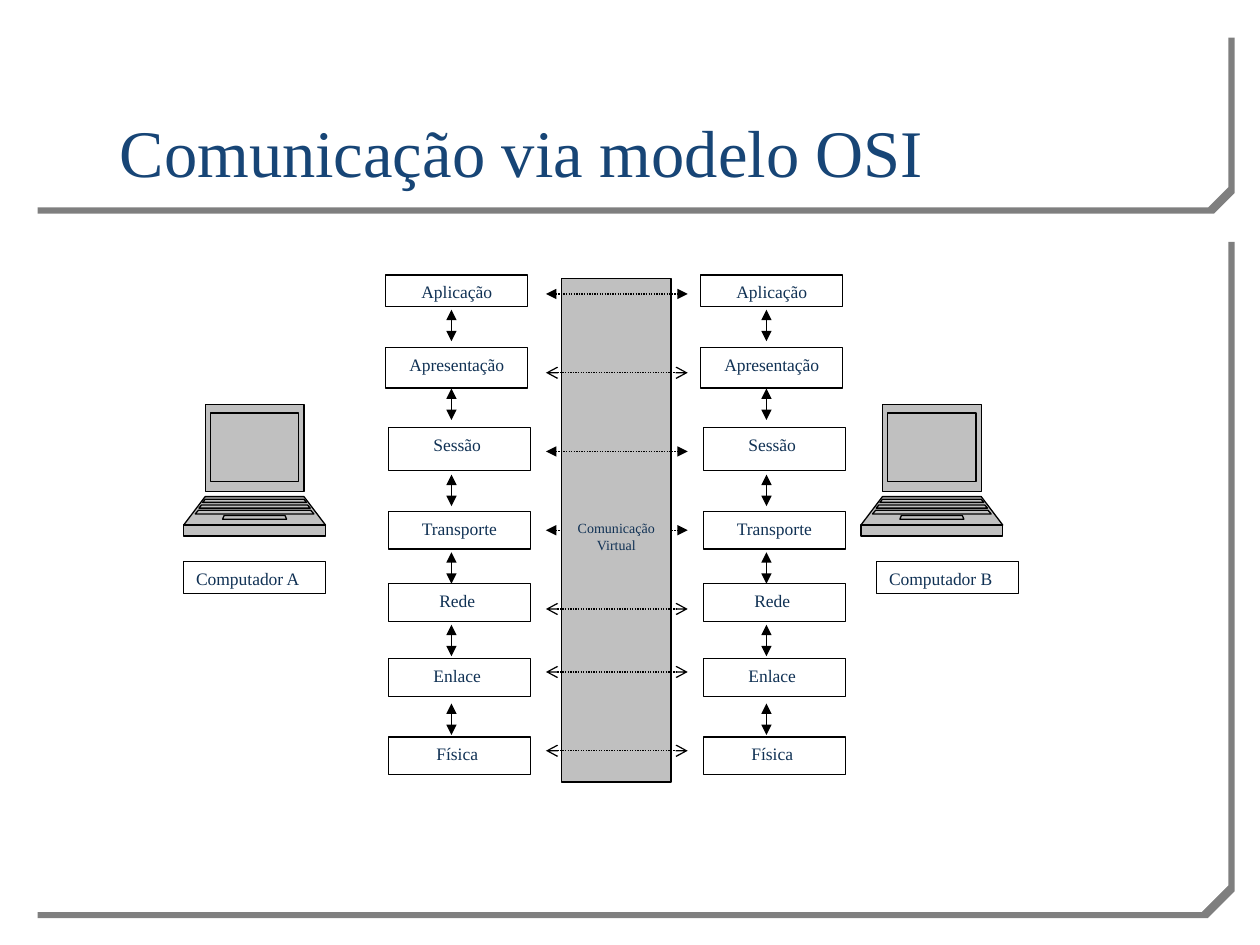
import lxml.etree
import pptx
import pptx.dml.color
import pptx.enum.dml
import pptx.enum.shapes
import pptx.enum.text
import pptx.oxml.ns
import pptx.util

WHITE = pptx.dml.color.RGBColor(0xFF, 0xFF, 0xFF)
BLACK = pptx.dml.color.RGBColor(0x00, 0x00, 0x00)
SILVER = pptx.dml.color.RGBColor(0xC0, 0xC0, 0xC0)
TITLE_BLUE = pptx.dml.color.RGBColor(0x17, 0x45, 0x76)
TEXT_BLUE = pptx.dml.color.RGBColor(0x10, 0x31, 0x54)
FONT = "Times New Roman"
COLUMNS, ROWS = 120, 90
CELL = pptx.util.Inches(10) // COLUMNS
BOX_WIDTH = 13.5
ARROW_HEIGHT = 3
LEFT = pptx.enum.text.PP_ALIGN.LEFT
CENTER = pptx.enum.text.PP_ALIGN.CENTER
LAYERS = [
    ("Aplicação", 36.75, 26.2, 3),
    ("Apresentação", 36.75, 33.1, 3.85),
    ("Sessão ", 37, 40.7, 4.1),
    ("Transporte", 37, 48.7, 3.6),
    ("Rede ", 37, 55.6, 3.6),
    ("Enlace ", 37, 62.75, 3.6),
    ("Física ", 37, 70.2, 3.6),
]
LAYER_ARROW_ROWS = [29.5, 37, 45.2, 52.6, 59.5, 67]
VIRTUAL_LINKS = [
    (28, "triangle"), (43, "triangle"), (58, "arrow"),
    (64, "arrow"), (71.5, "arrow"), (35.5, "arrow"),
]
LAPTOP_PARTS = [
    (38.5, 46.8, 4.7, 4.7),
    (47.3, 50, 4.7, 6.75),
    (50, 51.05, 6.75, 6.75),
    (39.35, 45.85, 4.2, 4.2),
    (47.55, 47.85, 4.7, 4.95),
    (49.1, 49.45, 2.9, 3.05),
    (48.1, 48.4, 5.05, 5.3),
    (48.6, 48.95, 5.35, 5.65),
]


def cells(*values):
    """Convert grid cells to slide lengths."""
    return [pptx.util.Emu(round(value * CELL)) for value in values]


def add_effects(shape):
    """Give a shape an empty effect list and return it."""
    return lxml.etree.SubElement(
        shape._element.spPr, pptx.oxml.ns.qn("a:effectLst"))


def paint(shape, fill, outline=BLACK):
    """Set fill and outline, and remove the theme shadow."""
    shape.shadow.inherit = False
    shape.fill.solid()
    shape.fill.fore_color.rgb = fill
    if outline is None:
        shape.line.fill.background()
    else:
        shape.line.color.rgb = outline
        shape.line.width = pptx.util.Pt(0.75)


def write(shape, text, size, color, alignment):
    """Write one formatted run into a shape."""
    paragraph = shape.text_frame.paragraphs[0]
    paragraph.alignment = alignment
    run = paragraph.add_run()
    run.text = text
    run.font.name = FONT
    run.font.size = pptx.util.Pt(size)
    run.font.color.rgb = color


def add_polygon(shapes, points, fill, outline=BLACK):
    """Draw a closed outline through grid points."""
    corners = [cells(*point) for point in points]
    builder = shapes.build_freeform(*corners[0])
    builder.add_line_segments(corners[1:], close=True)
    shape = builder.convert_to_shape()
    paint(shape, fill, outline)
    return shape


def add_frame(slide, top, bottom, cut):
    """Draw a panel with two cut corners and a hard shadow."""
    left, right = 3, COLUMNS - 3
    points = [(left, bottom), (right - cut, bottom), (right, bottom - cut),
              (right, top), (left + cut, top), (left, top + cut)]
    frame = add_polygon(slide.shapes, points, WHITE, None)
    effects = frame._element.spPr.find(pptx.oxml.ns.qn("a:effectLst"))
    shadow = lxml.etree.SubElement(
        effects, pptx.oxml.ns.qn("a:outerShdw"), blurRad="0",
        dist=str(pptx.util.Pt(5)), dir="2700000", algn="ctr", rotWithShape="0")
    color = lxml.etree.SubElement(
        shadow, pptx.oxml.ns.qn("a:srgbClr"), val=str(BLACK))
    lxml.etree.SubElement(color, pptx.oxml.ns.qn("a:alpha"), val="50000")


def add_title(slide, text):
    """Place the title in front of the panels."""
    title = slide.shapes.title
    slide.shapes._spTree.append(title._element)
    title.left, title.top, title.width, title.height = cells(10.2, 3.8, 99.5, 15)
    title.text_frame.auto_size = pptx.enum.text.MSO_AUTO_SIZE.NONE
    title.text_frame.vertical_anchor = pptx.enum.text.MSO_ANCHOR.BOTTOM
    write(title, text, 38, TITLE_BLUE, LEFT)


def add_box(slide, text, area, fill=WHITE, size=10, alignment=CENTER, inset=0.6):
    """Draw a rectangle with text starting at its top inset."""
    box = slide.shapes.add_shape(
        pptx.enum.shapes.MSO_SHAPE.RECTANGLE, *cells(*area))
    paint(box, fill)
    frame = box.text_frame
    frame.word_wrap = True
    frame.vertical_anchor = pptx.enum.text.MSO_ANCHOR.TOP
    frame.margin_top, frame.margin_bottom = cells(inset, 0.6)
    write(box, text, size, TEXT_BLUE, alignment)


def add_arrow(slide, start, end, width, head="triangle", dash=None):
    """Draw a straight line with the same arrowhead at both ends."""
    arrow = slide.shapes.add_connector(
        pptx.enum.shapes.MSO_CONNECTOR.STRAIGHT, *cells(*start, *end))
    arrow.line.color.rgb = BLACK
    arrow.line.width = pptx.util.Pt(width)
    if dash is not None:
        arrow.line.dash_style = dash
    for tag in ("a:headEnd", "a:tailEnd"):
        lxml.etree.SubElement(
            arrow.line._get_or_add_ln(), pptx.oxml.ns.qn(tag), type=head)
    add_effects(arrow)


def add_virtual_link(slide, row, head):
    """Draw a dotted link between the two stacks."""
    add_arrow(slide, (52, row), (65.5, row), 0.75, head,
              pptx.enum.dml.MSO_LINE.ROUND_DOT)


def add_laptop(slide, center):
    """Draw a laptop from symmetrical parts."""
    laptop = slide.shapes.add_group_shape()
    for top, bottom, upper, lower in LAPTOP_PARTS:
        points = [(center - upper, top), (center + upper, top),
                  (center + lower, bottom), (center - lower, bottom)]
        add_polygon(laptop.shapes, points, SILVER)


def add_stack(slide, offset):
    """Draw the seven layers and the arrows between them."""
    for name, left, top, height in LAYERS:
        add_box(slide, name, (left + offset, top, BOX_WIDTH, height))
    column = 43 + offset
    for row in LAYER_ARROW_ROWS:
        add_arrow(slide, (column, row), (column, row + ARROW_HEIGHT), 0.25)


def main():
    """Build and save the slide."""
    presentation = pptx.Presentation()
    presentation.slide_width = COLUMNS * CELL
    presentation.slide_height = ROWS * CELL
    slide = presentation.slides.add_slide(presentation.slide_layouts[5])
    add_frame(slide, 22.45, 86.85, 2.55)
    add_frame(slide, 3, 19.75, 1.95)
    add_title(slide, "Comunicação via modelo OSI")
    add_virtual_link(slide, 50.5, "triangle")
    add_box(slide, "Comunicação Virtual", (53.5, 26.5, 10.4, 48),
            SILVER, 8, CENTER, 23)
    for center in (24.25, 88.75):
        add_laptop(slide, center)
    for offset in (0, 30):
        add_stack(slide, offset)
    for name, left in (("Computador A", 17.5), ("Computador B", 83.5)):
        add_box(slide, name, (left, 53.5, BOX_WIDTH, 3), alignment=LEFT)
    for row, head in VIRTUAL_LINKS:
        add_virtual_link(slide, row, head)
    presentation.save("out.pptx")


if __name__ == "__main__":
    main()
